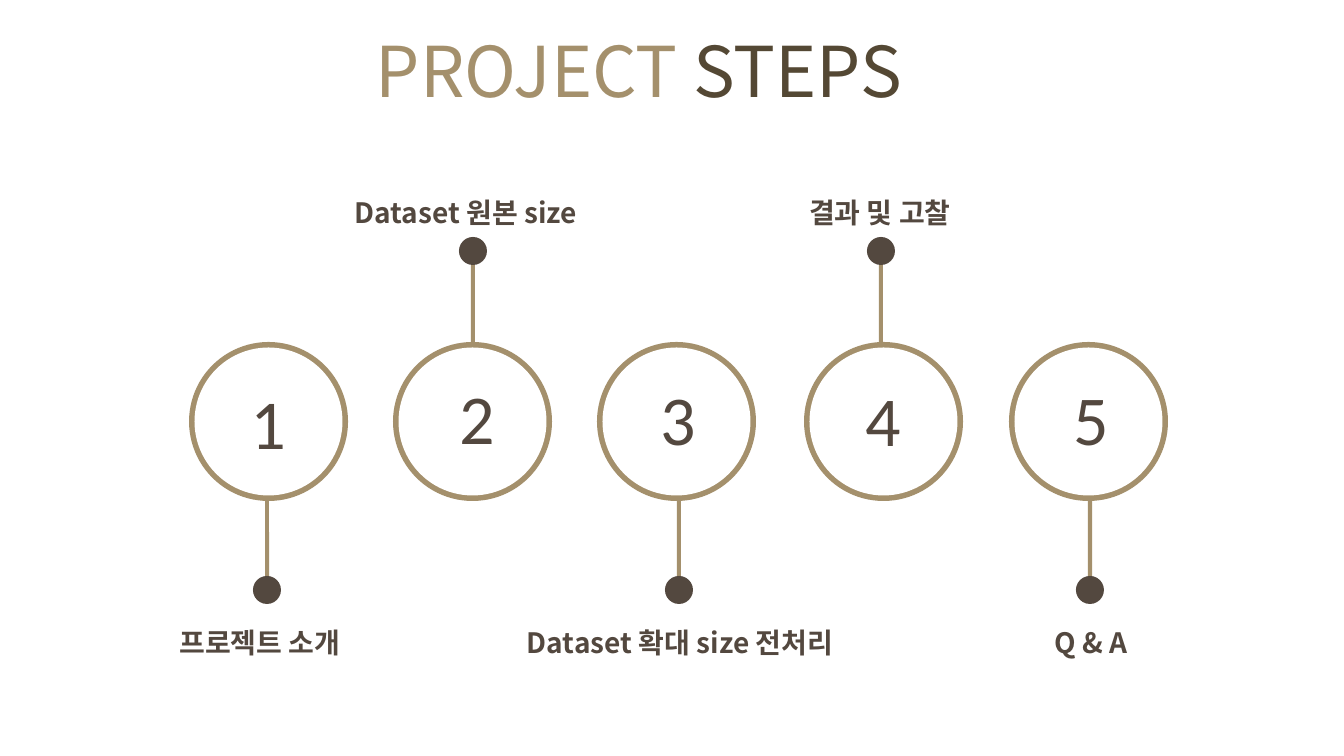
from dataclasses import dataclass

from lxml.etree import SubElement
from pptx import Presentation
from pptx.dml.color import RGBColor
from pptx.enum.shapes import MSO_SHAPE as Shape
from pptx.enum.text import PP_ALIGN as Align
from pptx.oxml.ns import qn
from pptx.util import Emu, Pt

SCALE = 914400 / 100.8
TAN = RGBColor(0xA4, 0x90, 0x6C)
OLIVE = RGBColor(0x54, 0x48, 0x34)
BROWN = RGBColor(0x53, 0x48, 0x3F)
WHITE = RGBColor(0xFF, 0xFF, 0xFF)
SANS = "Noto Sans CJK KR"
NUMERAL = "Calibri"
RING, HOLE, DOT = 159, 148, 28
STEM_WIDTH, STEM_HEIGHT = 4, 107
LABEL_WIDTH, LABEL_HEIGHT = 329, 41
NUMBER_WIDTH, NUMBER_HEIGHT = 56, 95


@dataclass
class Step:
    """A numbered step, with the centres of its parts in px from the ring's left."""

    label: str
    left: int
    stem: int
    label_center: int
    number_center: int
    number_top: int
    rises: bool


STEPS = [
    Step("프로젝트 소개", 189, 78, 71, 79, 33, False),
    Step("Dataset 원본 size", 393, 80, 73, 84, 28, True),
    Step("Dataset 확대 size 전처리", 597, 82, 83, 81, 29, False),
    Step("결과 및 고찰", 804, 77, 76, 79, 30, True),
    Step("Q & A", 1009, 81, 82, 82, 29, False),
]


def px(length):
    """Turn px into EMU."""
    return Emu(round(length * SCALE))


def add_text(page, left, top, width, height, spans, *, size, font=SANS,
             bold=False, align=Align.LEFT, spacing=None):
    """Add a one-paragraph text box from (text, colour) spans."""
    box = page.shapes.add_textbox(px(left), px(top), px(width), px(height))
    box.text_frame.word_wrap = True
    para = box.text_frame.paragraphs[0]
    para.alignment = align
    para.line_spacing = spacing
    for text, color in spans:
        span = para.add_run()
        span.text = text
        span.font.size = Pt(size)
        span.font.bold = bold
        span.font.name = font
        span.font.color.rgb = color
        SubElement(span.font._element, qn("a:ea")).set("typeface", font)


def add_solid(page, kind, left, top, width, height, color):
    """Add a filled shape without outline or shadow."""
    shape = page.shapes.add_shape(kind, px(left), px(top), px(width), px(height))
    shape.shadow.inherit = False
    shape.fill.solid()
    shape.fill.fore_color.rgb = color
    shape.line.fill.background()
    return shape


def add_title(page, left, top, width, height):
    """Place the two-colour heading."""
    add_text(page, left, top, width, height,
             [("PROJECT ", TAN), ("STEPS", OLIVE)], size=50)


def add_step(page, number, step, left, top):
    """Place a ring with its number, stem, dot and label."""
    stem_top, dot_top, label_top = (
        (-92, -105, -155) if step.rises else (143, 234, 275))
    stem = add_solid(page, Shape.ROUNDED_RECTANGLE,
                     left + step.stem - STEM_WIDTH / 2, top + stem_top,
                     STEM_WIDTH, STEM_HEIGHT, TAN)
    stem.adjustments[0] = 0.5
    inset = (RING - HOLE) / 2
    add_solid(page, Shape.OVAL, left, top, RING, RING, TAN)
    add_solid(page, Shape.OVAL, left + inset, top + inset, HOLE, HOLE, WHITE)
    add_solid(page, Shape.OVAL, left + step.stem - DOT / 2, top + dot_top,
              DOT, DOT, BROWN)
    add_text(page, left + step.number_center - NUMBER_WIDTH / 2,
             top + step.number_top, NUMBER_WIDTH, NUMBER_HEIGHT,
             [(str(number), BROWN)], size=50, font=NUMERAL, align=Align.CENTER)
    add_text(page, left + step.label_center - LABEL_WIDTH / 2, top + label_top,
             LABEL_WIDTH, LABEL_HEIGHT, [(step.label, BROWN)], size=20,
             bold=True, align=Align.CENTER, spacing=1.11)


def main():
    """Build and save the deck."""
    deck = Presentation()
    deck.slide_width, deck.slide_height = px(1344), px(756)
    page = deck.slides.add_slide(deck.slide_layouts[6])
    add_title(page, 366, 23, 605, 95)
    for number, step in enumerate(STEPS, 1):
        add_step(page, number, step, step.left, 342)
    deck.save("out.pptx")


if __name__ == "__main__":
    main()
